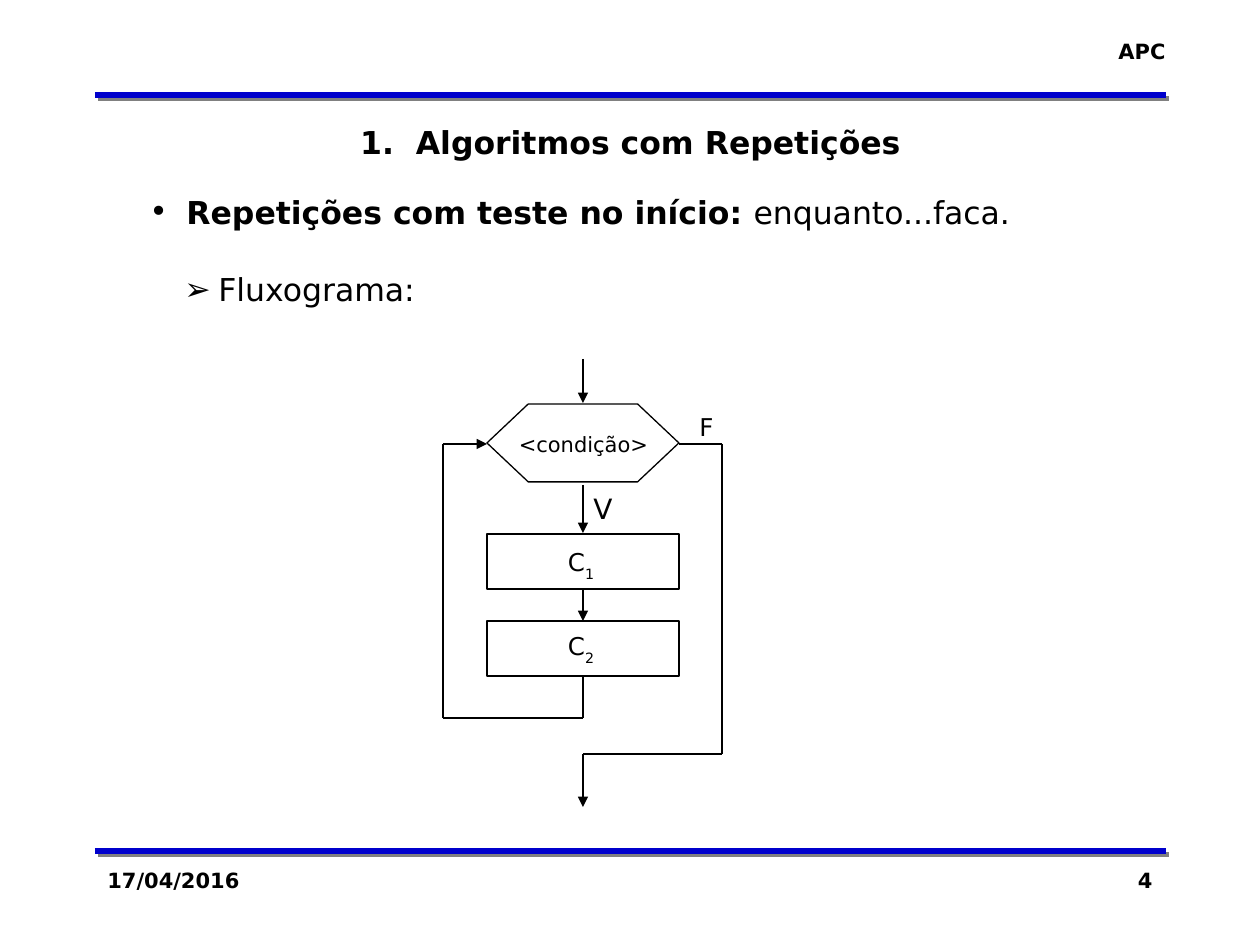
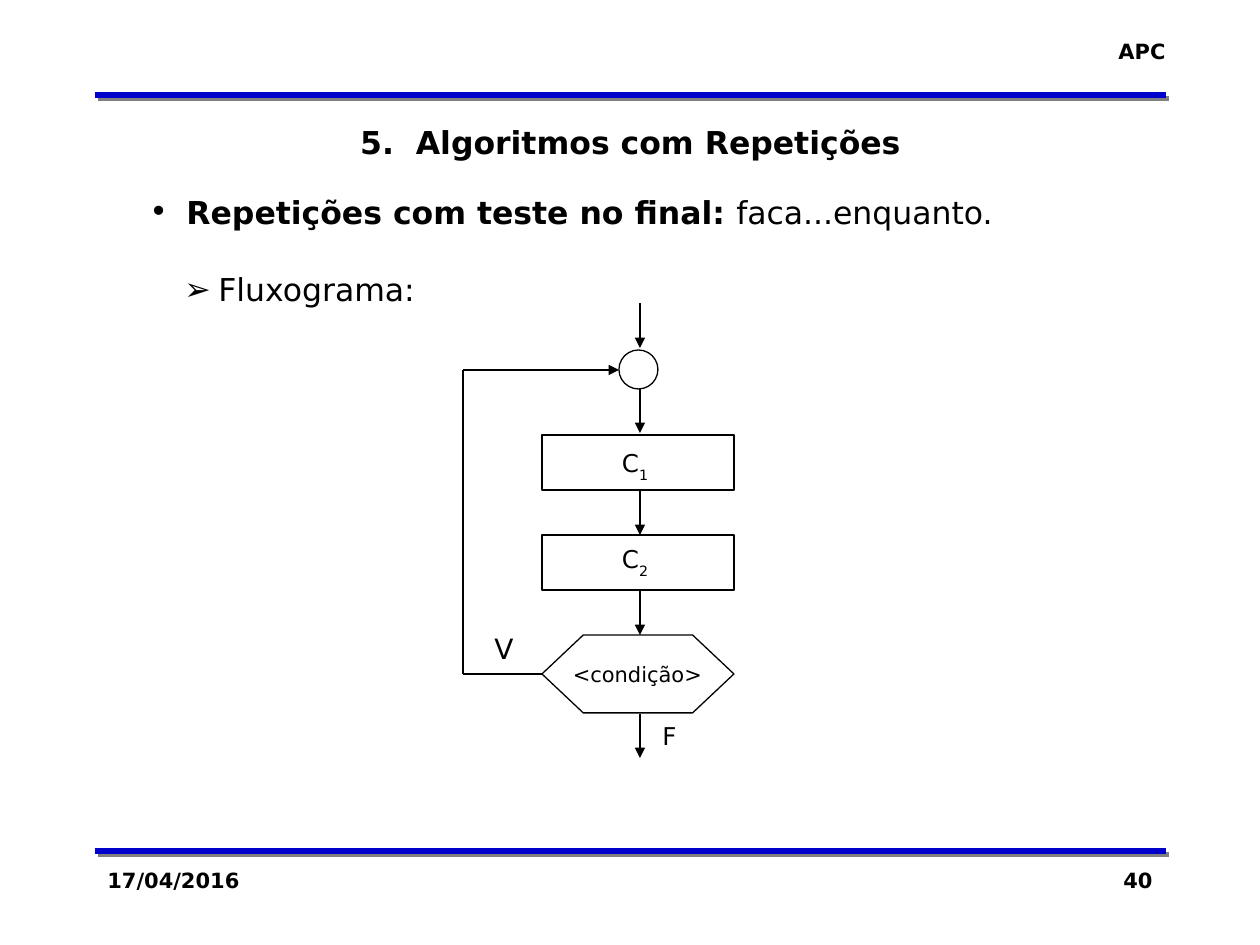
from dataclasses import dataclass

from lxml.etree import SubElement
from pptx import Presentation
from pptx.dml.color import RGBColor
from pptx.enum.shapes import MSO_CONNECTOR, MSO_SHAPE as Preset
from pptx.enum.text import MSO_ANCHOR as Anchor, MSO_AUTO_SIZE as AutoSize, PP_ALIGN as Align
from pptx.oxml.ns import qn
from pptx.util import Emu, Pt

BLACK = RGBColor(0x00, 0x00, 0x00)
WHITE = RGBColor(0xFF, 0xFF, 0xFF)
BLUE = RGBColor(0x00, 0x00, 0xCC)
GRAY = RGBColor(0x80, 0x80, 0x80)
FONT = "DejaVu Sans"
SCALE = 914400 / 126
TITLE_ONLY = 5
NODE_WIDTH, STEP_HEIGHT, TEST_HEIGHT = 192, 55, 78


@dataclass(frozen=True)
class Span:
    """A run of text with one format."""
    text: str
    size: float = 18
    bold: bool = False
    subscript: bool = False


@dataclass(frozen=True)
class Box:
    """A rectangle in pixels."""
    left: int
    top: int
    width: int
    height: int


@dataclass(frozen=True)
class Bullet:
    """A list mark with the text indent and hanging width in pixels."""
    mark: str
    margin: int
    hanging: int


@dataclass(frozen=True)
class Node:
    """A filled flowchart outline."""
    preset: Preset
    box: Box


@dataclass(frozen=True)
class Label:
    """White plate with centred text that lies on a node."""
    spans: tuple
    box: Box
    flush: bool = False


@dataclass(frozen=True)
class Route:
    """Straight segments through points, with an optional final arrowhead."""
    points: tuple
    arrow: bool = True


@dataclass(frozen=True)
class Branch:
    """Letter beside an outcome of the test."""
    span: Span
    box: Box


@dataclass(frozen=True)
class Page:
    """Everything that differs from slide to slide."""
    number: str
    title: str
    topic: str
    keyword: str
    nodes: tuple
    labels: tuple
    routes: tuple
    branches: tuple


def px(length: float) -> Emu:
    """Turn pixels into EMU."""
    return Emu(round(length * SCALE))


def place(box: Box) -> tuple:
    """Give a box as left, top, width and height in EMU."""
    return px(box.left), px(box.top), px(box.width), px(box.height)


def set_all(target, values: dict) -> None:
    """Set attributes of an object from a dict."""
    for name, value in values.items():
        setattr(target, name, value)


def write(para, spans: tuple, align=Align.LEFT) -> None:
    """Write formatted runs into a paragraph."""
    para.alignment = align
    for span in spans:
        run = para.add_run()
        run.text = span.text
        set_all(run.font, {"name": FONT, "size": Pt(span.size), "bold": span.bold})
        run.font.color.rgb = BLACK
        if span.subscript:
            run.font._element.set("baseline", "-30000")


def add_text(slide, box: Box, spans: tuple, align=Align.LEFT, wrap=True):
    """Add a text box with one paragraph and return its frame."""
    frame = slide.shapes.add_textbox(*place(box)).text_frame
    set_all(frame, {"word_wrap": wrap, "vertical_anchor": Anchor.TOP,
                    "auto_size": AutoSize.NONE if wrap else AutoSize.SHAPE_TO_FIT_TEXT})
    write(frame.paragraphs[0], spans, align)
    return frame


def add_bullet(para, bullet: Bullet) -> None:
    """Give a paragraph a hanging list mark."""
    props = para._p.get_or_add_pPr()
    props.set("marL", str(px(bullet.margin)))
    props.set("indent", str(-px(bullet.hanging)))
    SubElement(props, qn("a:buFont")).set("typeface", FONT)
    SubElement(props, qn("a:buChar")).set("char", bullet.mark)


def add_line(slide, start: tuple, end: tuple, color=BLACK, width=0.75, arrow=False):
    """Add a straight line without shadow and return its effect list."""
    line = slide.shapes.add_connector(
        MSO_CONNECTOR.STRAIGHT, *(px(value) for value in (*start, *end)))
    line.line.color.rgb = color
    line.line.width = Pt(width)
    props = line._element.spPr
    if arrow:
        SubElement(line.line._get_or_add_ln(), qn("a:tailEnd")).set("type", "triangle")
    return SubElement(props, qn("a:effectLst"))


def add_band(slide, top: int) -> None:
    """Add a blue rule with a gray shadow to the lower right."""
    effects = add_line(slide, (95, top), (1166, top), BLUE, 3)
    shadow = SubElement(effects, qn("a:outerShdw"), blurRad="0", dist=str(Pt(2.8)),
                        dir="2700000", algn="ctr", rotWithShape="0")
    SubElement(shadow, qn("a:srgbClr")).set("val", str(GRAY))


def add_shape(slide, preset: Preset, box: Box, color: RGBColor):
    """Add a white shape with a thin outline."""
    shape = slide.shapes.add_shape(preset, *place(box))
    shape.shadow.inherit = False
    shape.fill.solid()
    shape.fill.fore_color.rgb = WHITE
    shape.line.color.rgb = color
    shape.line.width = Pt(0.75)
    if preset == Preset.HEXAGON:
        shape.adjustments[0] = 0.53
    return shape


def add_label(slide, label: Label) -> None:
    """Add the white text plate of a node."""
    frame = add_shape(slide, Preset.RECTANGLE, label.box, WHITE).text_frame
    frame.word_wrap = True
    frame.vertical_anchor = Anchor.MIDDLE if label.flush else Anchor.TOP
    if label.flush:
        sides = ("left", "top", "right", "bottom")
        set_all(frame, {f"margin_{side}": 0 for side in sides})
    write(frame.paragraphs[0], label.spans, Align.CENTER)


def add_frame(slide, page: Page) -> None:
    """Add the bands, header, footer and title."""
    for top in (851, 95):
        add_band(slide, top)
    add_text(slide, Box(1105, 32, 73, 38), (Span("APC", 12, True),), Align.RIGHT, False)
    add_text(slide, Box(95, 861, 262, 63), (Span("17/04/2016", 12, True),))
    add_text(slide, Box(903, 861, 262, 63), (Span(page.number, 12, True),), Align.RIGHT)
    title = slide.shapes.title
    set_all(title, dict(zip(("left", "top", "width", "height"),
                            place(Box(95, 117, 1071, 50)))))
    set_all(title.text_frame, {"vertical_anchor": Anchor.TOP, "word_wrap": True,
                               "auto_size": AutoSize.NONE})
    write(title.text_frame.paragraphs[0], (Span(page.title, bold=True),), Align.CENTER)


def add_body(slide, page: Page) -> None:
    """Add the topic and the flowchart heading."""
    spans = (Span(page.topic + " ", bold=True), Span(page.keyword))
    frame = add_text(slide, Box(137, 187, 955, 127), spans, Align.JUSTIFY)
    add_bullet(frame.paragraphs[0], Bullet("•", 37, 37))
    para = frame.add_paragraph()
    write(para, (Span("Fluxograma:"),))
    para.space_before = Pt(22.5)
    add_bullet(para, Bullet("➢", 69, 34))


def add_flowchart(slide, page: Page) -> None:
    """Add routes, nodes and texts of the flowchart."""
    for route in page.routes:
        last = len(route.points) - 2
        for index, ends in enumerate(zip(route.points, route.points[1:])):
            add_line(slide, *ends, arrow=route.arrow and index == last)
    for node in page.nodes:
        add_shape(slide, node.preset, node.box, BLACK)
    for label in page.labels:
        add_label(slide, label)
    for branch in page.branches:
        add_text(slide, branch.box, (branch.span,), wrap=False)


def steps(left: int, tops: tuple) -> tuple:
    """Give the command rectangles of a column."""
    return tuple(Node(Preset.RECTANGLE, Box(left, top, NODE_WIDTH, STEP_HEIGHT))
                 for top in tops)


def test(left: int, top: int) -> Node:
    """Give the hexagon of the test."""
    return Node(Preset.HEXAGON, Box(left, top, NODE_WIDTH, TEST_HEIGHT))


def labels(left: int, tops: tuple, test_left: int, test_top: int) -> tuple:
    """Give the labels of the commands and of the test."""
    commands = tuple(
        Label((Span("C", 14), Span(str(index), 14, subscript=True)), Box(left, top, 68, 42))
        for index, top in enumerate(tops, 1))
    condition = Label((Span("<condição>", 12),), Box(test_left, test_top, 139, 31), True)
    return (*commands, condition)


def arrows(x: int, ranges: tuple) -> tuple:
    """Give downward arrows on one axis."""
    return tuple(Route(((x, top), (x, bottom))) for top, bottom in ranges)


def branches(true_at: tuple, false_at: tuple) -> tuple:
    """Give the letters of the true and false outcomes."""
    return (Branch(Span("V", 16), Box(*true_at, 45, 47)),
            Branch(Span("F", 14), Box(*false_at, 39, 43)))


PAGES = (
    Page("4", "1.  Algoritmos com Repetições",
         "Repetições com teste no início:", "enquanto...faca.",
         nodes=(test(487, 404), *steps(487, (534, 621))),
         labels=labels(547, (541, 625), 514, 429),
         routes=(*arrows(583, ((359, 403), (485, 533), (589, 621))),
                 Route(((583, 677), (583, 718), (443, 718), (443, 444), (487, 444))),
                 Route(((679, 444), (722, 444), (722, 754), (583, 754), (583, 807)))),
         branches=branches((581, 485), (687, 406))),
    Page("40", "5.  Algoritmos com Repetições",
         "Repetições com teste no final:", "faca...enquanto.",
         nodes=(test(542, 635), *steps(542, (435, 535)),
                Node(Preset.OVAL, Box(619, 350, 39, 39))),
         labels=labels(601, (442, 538), 568, 659),
         routes=(*arrows(640, ((303, 348), (389, 433), (491, 535), (591, 635), (714, 758))),
                 Route(((542, 674), (463, 674), (463, 370), (619, 370)))),
         branches=branches((482, 625), (650, 715))),
)


def build() -> None:
    """Build the deck and save it."""
    deck = Presentation()
    set_all(deck, {"slide_width": px(1260), "slide_height": px(945)})
    for page in PAGES:
        slide = deck.slides.add_slide(deck.slide_layouts[TITLE_ONLY])
        add_frame(slide, page)
        add_body(slide, page)
        add_flowchart(slide, page)
    deck.save("out.pptx")


build()
